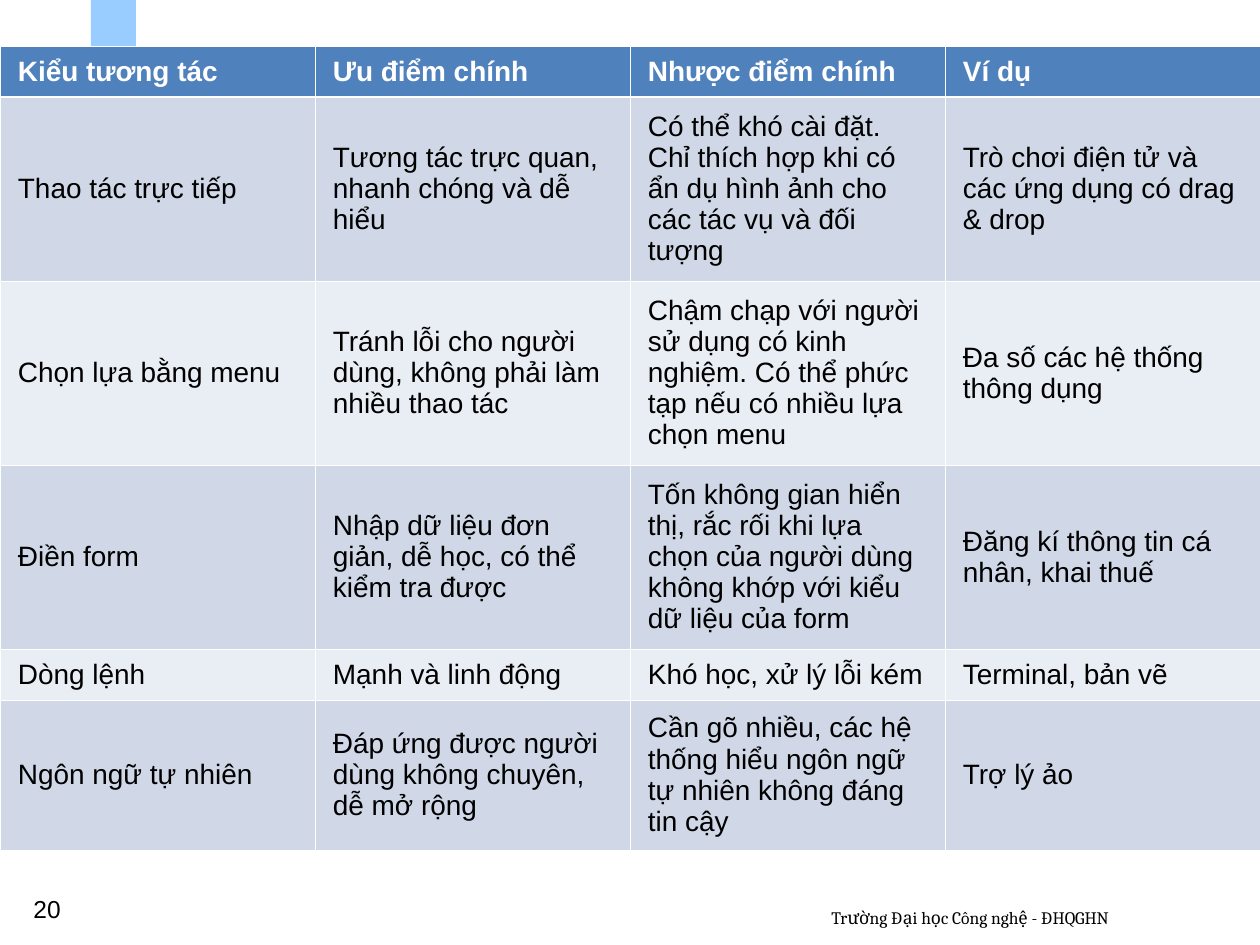
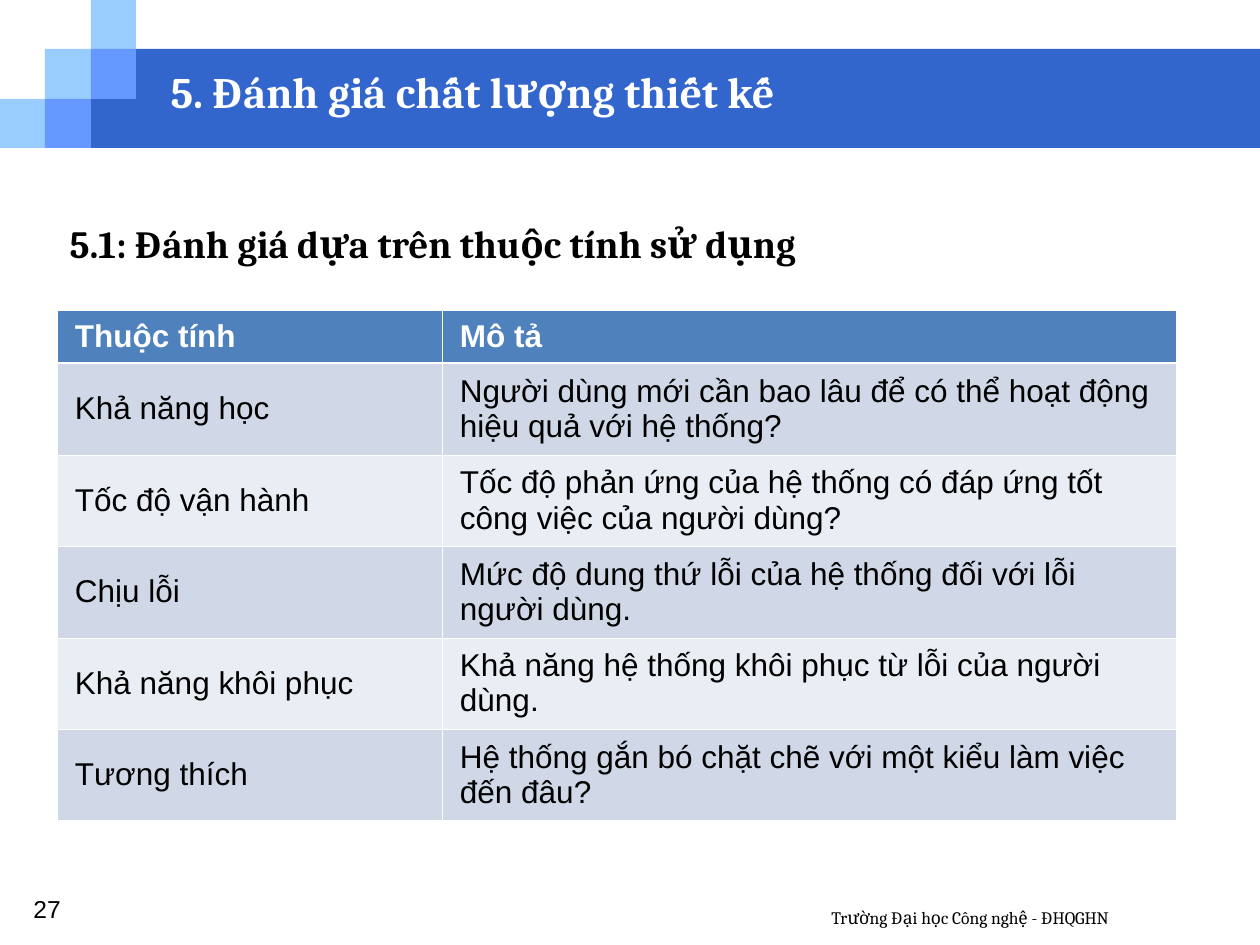
"""Build two slides on interaction styles and on judging design quality."""
from dataclasses import dataclass

from lxml import etree
from pptx import Presentation
from pptx.dml.color import RGBColor
from pptx.enum.shapes import MSO_SHAPE
from pptx.enum.text import MSO_ANCHOR, MSO_AUTO_SIZE, PP_ALIGN
from pptx.oxml.ns import qn
from pptx.util import Emu, Pt

RECTANGLE = MSO_SHAPE.RECTANGLE
MIDDLE, TOP = MSO_ANCHOR.MIDDLE, MSO_ANCHOR.TOP
NO_AUTOFIT = MSO_AUTO_SIZE.NONE
LEFT, JUSTIFY = PP_ALIGN.LEFT, PP_ALIGN.JUSTIFY

EMU_PER_PX = 914400 / 126
SLIDE_W, SLIDE_H = 1260, 945
TITLE_LAYOUT, BLANK_LAYOUT = 1, 6
MASTER_SHAPE_ID = 100


@dataclass(frozen=True)
class Theme:
    band: str = "3366CC"
    pale_square: str = "99CCFF"
    mid_square: str = "6699FF"
    table_head: str = "4F81BD"
    row_odd: str = "D0D8E8"
    row_even: str = "E9EDF4"
    white: str = "FFFFFF"
    black: str = "000000"
    serif: str = "Cambria"
    sans: str = "Arial"
    title_size: float = 24.8
    heading_size: float = 22
    number_size: float = 14
    footer_size: float = 10
    thin_line: float = 0.45
    head_line: float = 1.47


@dataclass(frozen=True)
class Box:
    left: int
    top: int
    width: int
    height: int


@dataclass(frozen=True)
class TextStyle:
    font: str
    size: float
    color: str
    bold: bool = False


@dataclass(frozen=True)
class Grid:
    left: int
    top: int
    cols: tuple[int, ...]
    rows: tuple[int, ...]
    size: float
    cells: tuple[tuple[str, ...], ...]


THEME = Theme()
TITLE = TextStyle(THEME.serif, THEME.title_size, THEME.white, True)
HEADING = TextStyle(THEME.serif, THEME.heading_size, THEME.black, True)
FOOTER = TextStyle(THEME.serif, THEME.footer_size, THEME.black)
NUMBER = TextStyle(THEME.sans, THEME.number_size, THEME.black)

TITLE_BOX = Box(158, 63, 1018, 67)
HEADING_BOX = Box(57, 214, 1184, 76)
FOOTER_BOX = Box(819, 901, 398, 44)
NUMBER_BOX = Box(21, 888, 294, 44)

SQUARE_XS = (0, 45, 91, 136)
SQUARE_YS = (0, 49, 99, 148)
PALE_SQUARES = ((0, 2), (1, 1), (2, 0))
MID_SQUARES = ((2, 1), (1, 2))

FOOTER_TEXT = "Trường Đại học Công nghệ - ĐHQGHN"

INTERACTION_STYLES = Grid(
    0, 46, (315,) * 4, (51, 184, 184, 184, 51, 150), 16,
    (
        ("Kiểu tương tác", "Ưu điểm chính", "Nhược điểm chính", "Ví dụ"),
        ("Thao tác trực tiếp",
         "Tương tác trực quan, nhanh chóng và dễ hiểu",
         "Có thể khó cài đặt. Chỉ thích hợp khi có ẩn dụ hình ảnh cho "
         "các tác vụ và đối tượng",
         "Trò chơi điện tử và các ứng dụng có drag & drop"),
        ("Chọn lựa bằng menu",
         "Tránh lỗi cho người dùng, không phải làm nhiều thao tác",
         "Chậm chạp với người sử dụng có kinh nghiệm. Có thể phức tạp "
         "nếu có nhiều lựa chọn menu",
         "Đa số các hệ thống thông dụng"),
        ("Điền form",
         "Nhập dữ liệu đơn giản, dễ học, có thể kiểm tra được",
         "Tốn không gian hiển thị, rắc rối khi lựa chọn của người dùng "
         "không khớp với kiểu dữ liệu của form",
         "Đăng kí thông tin cá nhân, khai thuế"),
        ("Dòng lệnh", "Mạnh và linh động", "Khó học, xử lý lỗi kém",
         "Terminal, bản vẽ"),
        ("Ngôn ngữ tự nhiên",
         "Đáp ứng được người dùng không chuyên, dễ mở rộng",
         "Cần gõ nhiều, các hệ thống hiểu ngôn ngữ tự nhiên không đáng "
         "tin cậy",
         "Trợ lý ảo"),
    ),
)

USABILITY_ATTRIBUTES = Grid(
    57, 310, (385, 734), (53, 92, 91, 92, 91, 92), 18,
    (
        ("Thuộc tính", "Mô tả"),
        ("Khả năng học",
         "Người dùng mới cần bao lâu để có thể hoạt động hiệu quả với "
         "hệ thống?"),
        ("Tốc độ vận hành",
         "Tốc độ phản ứng của hệ thống có đáp ứng tốt công việc của "
         "người dùng?"),
        ("Chịu lỗi",
         "Mức độ dung thứ lỗi của hệ thống đối với lỗi người dùng."),
        ("Khả năng khôi phục",
         "Khả năng hệ thống khôi phục từ lỗi của người dùng."),
        ("Tương thích",
         "Hệ thống gắn bó chặt chẽ với một kiểu làm việc đến đâu?"),
    ),
)


def px(value: int) -> Emu:
    return Emu(round(value * EMU_PER_PX))


def place(box: Box) -> tuple[Emu, Emu, Emu, Emu]:
    return px(box.left), px(box.top), px(box.width), px(box.height)


def style_paragraph(p, style: TextStyle) -> None:
    p.font.name = style.font
    p.font.size = Pt(style.size)
    p.font.bold = style.bold
    p.font.color.rgb = RGBColor.from_string(style.color)


def add_text(slide, box: Box, text: str, style: TextStyle) -> None:
    tf = slide.shapes.add_textbox(*place(box)).text_frame
    tf.word_wrap = True
    tf.text = text
    style_paragraph(tf.paragraphs[0], style)


def fill_placeholder(sp, box: Box, text: str, style: TextStyle, anchor, align):
    sp.left, sp.top, sp.width, sp.height = place(box)
    tf = sp.text_frame
    tf.text = text
    tf.auto_size = NO_AUTOFIT
    tf.vertical_anchor = anchor
    p = tf.paragraphs[0]
    p.alignment = align
    p.space_before = Pt(0)
    return p


def add_master_rect(slide, master, box: Box, color: str, shape_id: int) -> None:
    sp = slide.shapes.add_shape(RECTANGLE, *place(box))
    sp.shadow.inherit = False
    sp.fill.solid()
    sp.fill.fore_color.rgb = RGBColor.from_string(color)
    sp.line.fill.background()
    sp.element.nvSpPr.cNvPr.set("id", str(shape_id))
    master.shapes.element.append(sp.element)


def add_master_band(slide, master) -> None:
    band = Box(SQUARE_XS[2], SQUARE_YS[1], SLIDE_W - SQUARE_XS[2],
               SQUARE_YS[3] - SQUARE_YS[1])
    rects = [(band, THEME.band)]
    for squares, color in ((PALE_SQUARES, THEME.pale_square),
                           (MID_SQUARES, THEME.mid_square)):
        for col, row in squares:
            x, y = SQUARE_XS[col], SQUARE_YS[row]
            box = Box(x, y, SQUARE_XS[col + 1] - x, SQUARE_YS[row + 1] - y)
            rects.append((box, color))
    for shape_id, (box, color) in enumerate(rects, MASTER_SHAPE_ID):
        add_master_rect(slide, master, box, color, shape_id)


def set_border(cell, side: str, width: float) -> None:
    tc_pr = cell._tc.get_or_add_tcPr()
    ln = etree.SubElement(tc_pr, qn(f"a:ln{side}"), w=str(int(Pt(width))))
    fill = etree.SubElement(ln, qn("a:solidFill"))
    etree.SubElement(fill, qn("a:srgbClr"), val=THEME.white)


def format_cell(cell, row: int, text: str, size: float) -> None:
    is_head = row == 0
    cell.text = text
    cell.vertical_anchor = MIDDLE
    cell.margin_left = cell.margin_right = px(18)
    cell.margin_top = cell.margin_bottom = px(6)
    for side in "LRTB":
        beside_head = (row, side) in ((0, "B"), (1, "T"))
        set_border(cell, side,
                   THEME.head_line if beside_head else THEME.thin_line)
    body_fill = THEME.row_odd if row % 2 else THEME.row_even
    cell.fill.solid()
    cell.fill.fore_color.rgb = RGBColor.from_string(
        THEME.table_head if is_head else body_fill)
    color = THEME.white if is_head else THEME.black
    style_paragraph(cell.text_frame.paragraphs[0],
                    TextStyle(THEME.sans, size, color, is_head))


def add_grid(slide, grid: Grid) -> None:
    box = Box(grid.left, grid.top, sum(grid.cols), sum(grid.rows))
    table = slide.shapes.add_table(
        len(grid.rows), len(grid.cols), *place(box)).table
    for column, width in zip(table.columns, grid.cols):
        column.width = px(width)
    for row, height in zip(table.rows, grid.rows):
        row.height = px(height)
    for r, texts in enumerate(grid.cells):
        for c, text in enumerate(texts):
            format_cell(table.cell(r, c), r, text, grid.size)


def add_footer(slide, number: int) -> None:
    add_text(slide, FOOTER_BOX, FOOTER_TEXT, FOOTER)
    add_text(slide, NUMBER_BOX, str(number), NUMBER)


def add_title_and_heading(slide, title: str, heading: str) -> None:
    p = fill_placeholder(slide.shapes.title, TITLE_BOX, title, TITLE,
                         MIDDLE, LEFT)
    p.line_spacing = 0.8
    style_paragraph(p, TITLE)
    p = fill_placeholder(slide.placeholders[1], HEADING_BOX, heading, HEADING,
                         TOP, JUSTIFY)
    p_pr = p._p.get_or_add_pPr()
    p_pr.set("marL", "0")
    p_pr.set("indent", "0")
    etree.SubElement(p_pr, qn("a:buNone"))
    style_paragraph(p, HEADING)


def main() -> None:
    prs = Presentation()
    prs.slide_width, prs.slide_height = px(SLIDE_W), px(SLIDE_H)

    slide = prs.slides.add_slide(prs.slide_layouts[BLANK_LAYOUT])
    add_master_band(slide, prs.slide_master)
    add_footer(slide, 20)
    add_grid(slide, INTERACTION_STYLES)

    slide = prs.slides.add_slide(prs.slide_layouts[TITLE_LAYOUT])
    add_title_and_heading(slide, "5. Đánh giá chất lượng thiết kế",
                          "5.1: Đánh giá dựa trên thuộc tính sử dụng")
    add_footer(slide, 27)
    add_grid(slide, USABILITY_ATTRIBUTES)

    prs.save("out.pptx")


if __name__ == "__main__":
    main()
